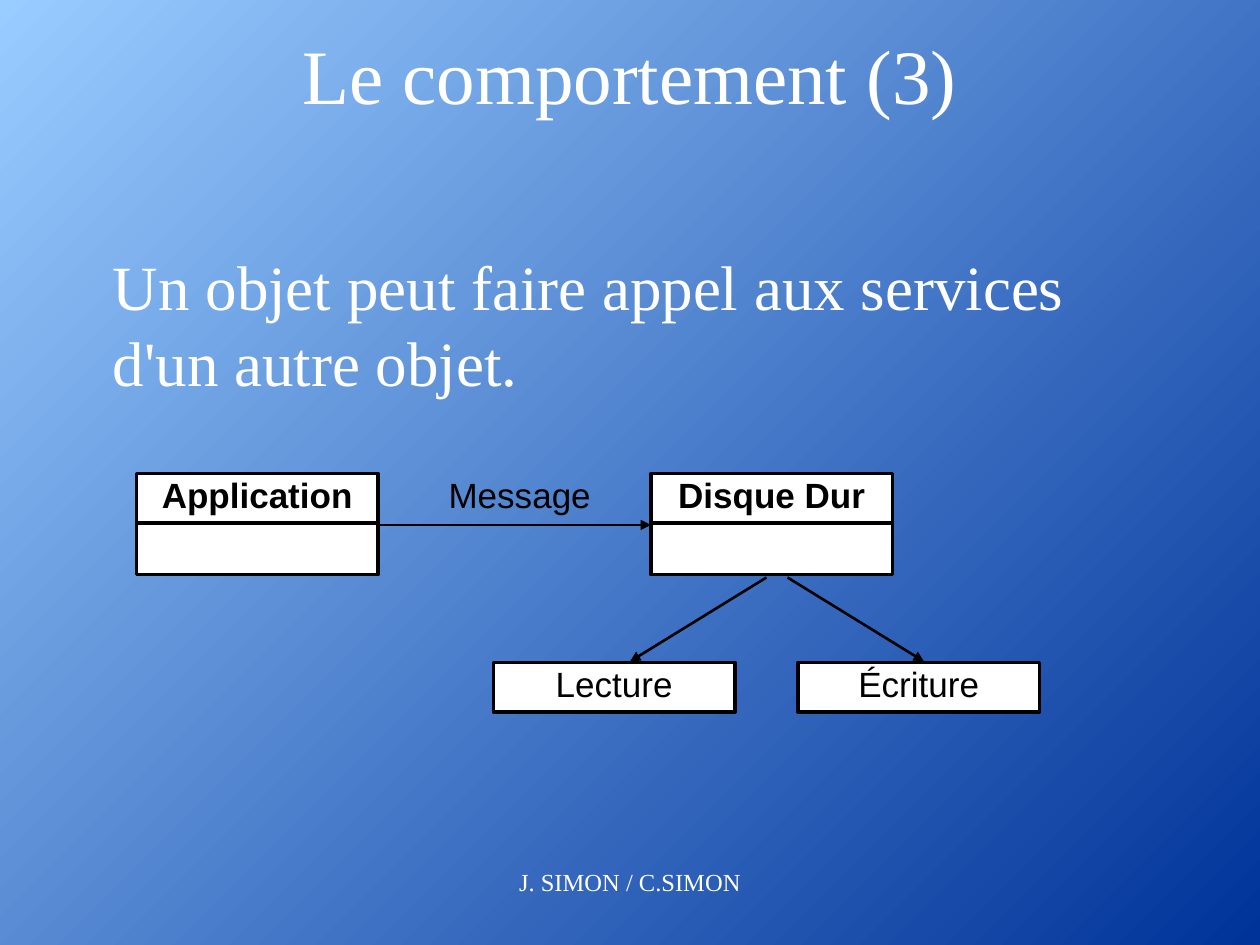
"""Build a slide on how one object calls on the services of another."""
import pptx
import pptx.util
import pptx.dml.color
import pptx.enum.shapes
import pptx.enum.text
import pptx.oxml

Pt = pptx.util.Pt
ALIGN = pptx.enum.text.PP_ALIGN
ANCHOR = pptx.enum.text.MSO_ANCHOR
RECT = pptx.enum.shapes.MSO_SHAPE.RECTANGLE
LINE = pptx.enum.shapes.MSO_CONNECTOR.STRAIGHT
NS = 'xmlns:a="http://schemas.openxmlformats.org/drawingml/2006/main"'

COLORS = {"dark": "003399", "light": "99CCFF", "white": "FFFFFF", "black": "000000"}
SERIF, SANS = "Times New Roman", "Arial"
WIDE, HEAD, BODY = 138, 28.2, 29.5

TITLE = ("Le comportement (3)", (54, 18, 612, 48))
CLAIM = ("Un objet peut faire appel aux services d'un autre objet.", (30, 138, 654, 96))
FOOT = ("J. SIMON / C.SIMON", (216, 492, 288, 36))
LABEL = ("Message", (228, 270.6, WIDE, HEAD))
CLASSES = [("Application", 78, 270.6), ("Disque Dur", 372, 270.6)]
METHODS = [("Lecture", 282, 378.6), ("Écriture", 456, 378.6)]
ARROWS = [
    ((438, 330), (360, 378)),
    ((450, 330), (528, 378)),
    ((216, 300), (372, 300)),
]


def color(name):
    return pptx.dml.color.RGBColor.from_string(COLORS[name])


def write(shape, text, size, font, ink, align=ALIGN.CENTER, bold=False, anchor=ANCHOR.MIDDLE):
    frame = shape.text_frame
    frame.word_wrap = True
    frame.vertical_anchor = anchor
    para = frame.paragraphs[0]
    para.text = text
    para.alignment = align
    para.font.size = Pt(size)
    para.font.name = font
    para.font.bold = bold
    para.font.color.rgb = color(ink)
    return para


def add_text(page, item, *style, **more):
    text, place = item
    box = page.shapes.add_textbox(*map(Pt, place))
    return box, write(box, text, *style, **more)


def add_box(shapes, left, top, high):
    box = shapes.add_shape(RECT, Pt(left), Pt(top), Pt(WIDE), Pt(high))
    box.shadow.inherit = False
    box.fill.solid()
    box.fill.fore_color.rgb = color("white")
    box.line.color.rgb = color("black")
    box.line.width = Pt(2)
    return box


def add_name(shapes, text, left, top, bold):
    box = add_box(shapes, left, top, HEAD)
    write(box, text, 20, SANS, "black", bold=bold).line_spacing = 0.85


def add_arrow(page, start, end):
    line = page.shapes.add_connector(LINE, *map(Pt, start + end))
    line.line.color.rgb = color("black")
    line.line.width = Pt(1.5)
    tip = pptx.oxml.parse_xml(f'<a:tailEnd {NS} type="triangle"/>')
    line.line._get_or_add_ln().append(tip)
    line._element.spPr.append(pptx.oxml.parse_xml(f"<a:effectLst {NS}/>"))


def main():
    deck = pptx.Presentation()
    deck.slide_width, deck.slide_height = Pt(720), Pt(540)
    page = deck.slides.add_slide(deck.slide_layouts[6])

    back = page.background.fill
    back.gradient()
    back.gradient_angle = 135
    for stop, name in zip(back.gradient_stops, ("dark", "light")):
        stop.color.rgb = color(name)

    add_text(page, TITLE, 44, SERIF, "white")
    box, para = add_text(page, CLAIM, 36, SERIF, "white", align=ALIGN.LEFT, anchor=ANCHOR.TOP)
    box.text_frame.margin_left = Pt(34.5)
    para.space_before = Pt(9)

    for text, left, top in CLASSES:
        shapes = page.shapes.add_group_shape().shapes
        add_name(shapes, text, left, top, True)
        add_box(shapes, left, top + HEAD, BODY)
    for text, left, top in METHODS:
        add_name(page.shapes, text, left, top, False)
    for start, end in ARROWS:
        add_arrow(page, start, end)

    box, para = add_text(page, LABEL, 20, SANS, "black")
    para.line_spacing = 0.85
    add_text(page, FOOT, 14, SERIF, "white", anchor=ANCHOR.TOP)
    deck.save("out.pptx")


if __name__ == "__main__":
    main()
